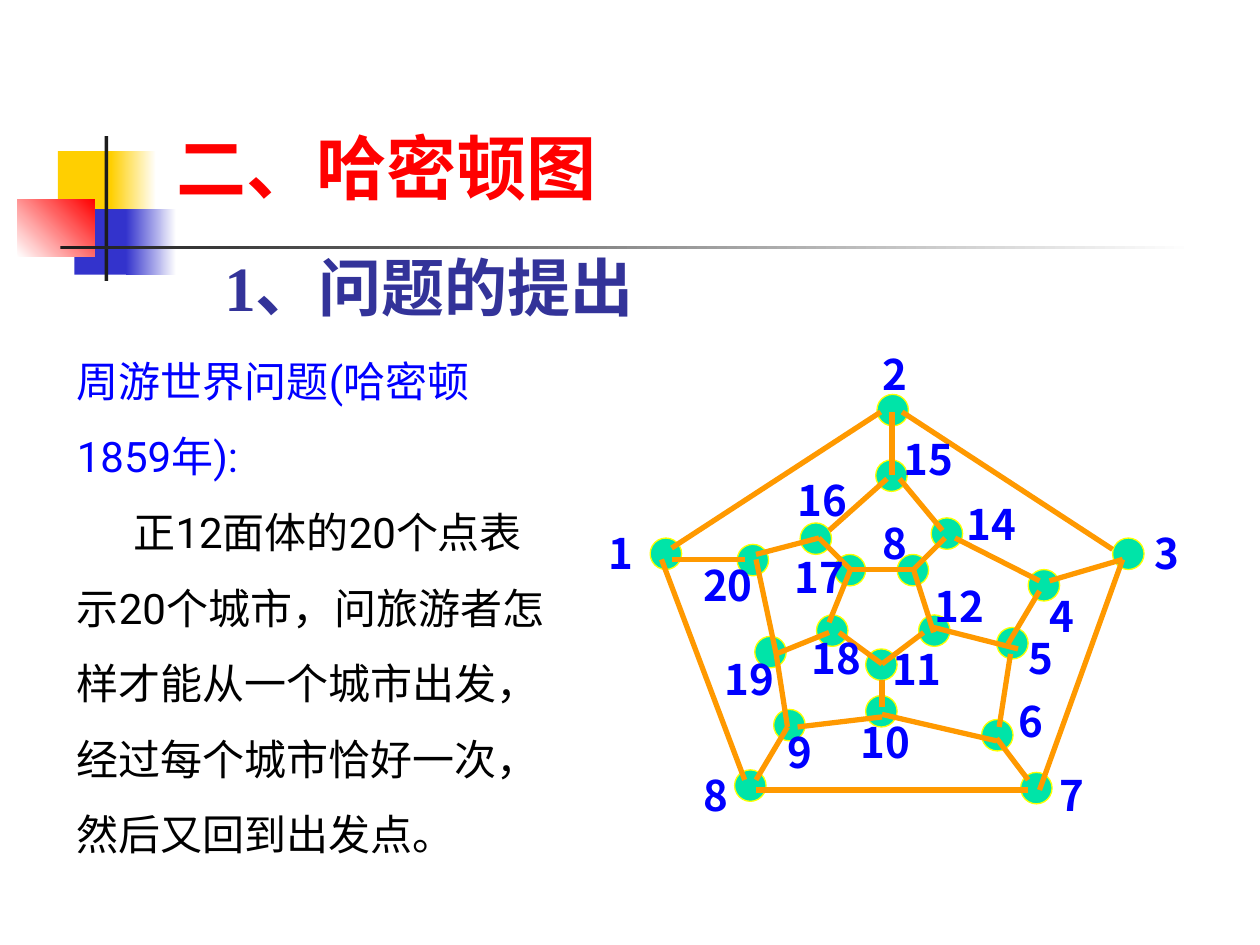
from pptx import Presentation
from pptx.dml.color import RGBColor
from pptx.enum.shapes import MSO_CONNECTOR as CONNECTOR, MSO_SHAPE as SHAPE
from pptx.enum.text import MSO_ANCHOR as ANCHOR, MSO_AUTO_SIZE as AUTOSIZE, PP_ALIGN as ALIGN
from pptx.oxml.ns import qn
from pptx.util import Inches, Pt

COLUMNS, ROWS = 100, 75
CELL = Inches(10) / COLUMNS

WHITE = RGBColor(0xFF, 0xFF, 0xFF)
BLACK = RGBColor(0x00, 0x00, 0x00)
CHARCOAL = RGBColor(0x1C, 0x1C, 0x1C)
YELLOW = RGBColor(0xFF, 0xCF, 0x01)
INDIGO = RGBColor(0x33, 0x33, 0xCC)
RED = RGBColor(0xFF, 0x00, 0x00)
NAVY = RGBColor(0x33, 0x33, 0x99)
BLUE = RGBColor(0x00, 0x00, 0xFF)
GREEN = RGBColor(0x00, 0xE4, 0xA8)
RIM = RGBColor(0xFF, 0xFF, 0x00)
ORANGE = RGBColor(0xFF, 0x99, 0x00)

TITLE_AREA = (13, 9.4, 65.8, 17.5)
TITLE = [
    ("二、哈密顿图", dict(size=40, color=RED)),
    ("1、问题的提出", dict(size=36, color=NAVY, before=22.5, margin=3.8)),
]
BODY_AREA = (5.1, 25.7, 40.1, 43)
BODY = [
    ("周游世界问题(哈密顿1859年):", dict(color=BLUE)),
    ("正12面体的20个点表示20个城市，问旅游者怎样才能从一个城市出发，"
     "经过每个城市恰好一次，然后又回到出发点。", dict(color=BLACK, indent=4.5)),
]

# area, colours from start to end, gradient angle
ORNAMENTS = [
    ((4.6, 12, 4.8, 5.2), (YELLOW,), 0),
    ((8.8, 12, 3.6, 5.2), (YELLOW, WHITE), 0),
    ((5.9, 16.6, 4.6, 5.2), (INDIGO,), 0),
    ((10, 16.6, 4, 5.2), (INDIGO, WHITE), 0),
    ((1.4, 15.8, 6.1, 4.6), (WHITE, RED), 45),
    ((8.3, 10.8, 0.3, 11.5), (CHARCOAL,), 0),
    ((4.8, 19.5, 90, 0.3), (CHARCOAL, WHITE), 0),
]

CITY_SIZE = 2.5
CITIES = [
    ("1", (51.6, 42.7), (48.3, 41.9)), ("2", (69.6, 31.3), (70, 27.7)),
    ("3", (88.3, 42.7), (91.6, 41.9)), ("4", (81.6, 45.2), (83.3, 46.9)),
    ("5", (79.1, 49.8), (81.6, 50.2)), ("6", (77.9, 57.1), (80.8, 55.2)),
    ("7", (81, 61.3), (84.1, 61.1)), ("8", (58.3, 61.1), (55.8, 61.1)),
    ("9", (61.4, 56.3), (62.5, 57.7)), ("10", (68.7, 55.2), (68.3, 56.9)),
    ("11", (68.7, 51.5), (70.8, 51.1)), ("12", (72.9, 48.8), (74.2, 46.1)),
    ("8", (71.2, 44), (70, 41.1)), ("14", (73.9, 41.1), (76.7, 39.6)),
    ("15", (69.5, 36.5), (71.7, 34.4)), ("16", (63.5, 41.5), (63.3, 37.7)),
    ("17", (66.2, 44), (63.1, 43.8)), ("18", (64.8, 48.8), (64.4, 50.2)),
    ("19", (59.9, 50.5), (57.5, 51.9)), ("20", (58.5, 43.2), (55.8, 44.4)),
]
ROADS = [
    (53.3, 43.5, 69.9, 32.7), (71.6, 32.7, 88.3, 43.6), (89.1, 44.4, 82.5, 62.7),
    (60, 62.7, 81.6, 62.7), (52.5, 44.4, 59.1, 61.9), (53.3, 44.4, 59.1, 44.4),
    (70.8, 32.7, 70.8, 37.7), (79.1, 58.6, 81.6, 61.9), (83.3, 46.1, 89.1, 44.4),
    (75.8, 42.7, 82.5, 46.1), (82.5, 46.9, 80, 51.1), (74.1, 49.8, 80.8, 51.5),
    (80.2, 51.9, 79.3, 57.7), (70, 56.7, 79.1, 58.8), (62.5, 57.7, 60, 61.9),
    (63.3, 57.7, 70, 56.9), (61.6, 51.9, 62.5, 57.7), (60, 44.4, 61.6, 51.9),
    (70.4, 38, 65.8, 42.1), (60, 44, 65, 42.7), (65, 42.7, 67.5, 45.2),
    (61.6, 51.9, 65.8, 50.2), (70, 54, 70, 56.1), (67.5, 45.2, 65.8, 49.4),
    (66.6, 50.2, 70, 52.7), (73.3, 50.2, 70, 52.7), (67.5, 45.2, 72.5, 45.2),
    (71.4, 38, 74.8, 42.1), (75, 42.7, 72.5, 45.2), (72.5, 45.2, 74.1, 50.2),
]


def cells(values):
    """Turn grid units into slide lengths."""
    return [round(value * CELL) for value in values]


def write(paragraph, text, size=24, color=BLUE, font="Noto Sans CJK SC", bold=True,
          before=0, spacing=1.0, margin=0, indent=0):
    """Fill a paragraph with formatted text."""
    properties = paragraph._p.get_or_add_pPr()
    left, first = cells((margin, indent))
    properties.set("marL", str(left))
    properties.set("indent", str(first))
    properties.append(properties.makeelement(qn("a:buNone"), {}))
    paragraph.alignment = ALIGN.LEFT
    paragraph.space_before = Pt(before)
    paragraph.line_spacing = spacing
    run = paragraph.add_run()
    run.text = text
    run.font.name, run.font.size, run.font.bold = font, Pt(size), bold
    run.font.color.rgb = color


def fill_placeholder(holder, area, content, **style):
    """Place a placeholder and write its paragraphs."""
    holder.left, holder.top, holder.width, holder.height = cells(area)
    frame = holder.text_frame
    frame.word_wrap, frame.auto_size = True, AUTOSIZE.NONE
    frame.vertical_anchor = ANCHOR.TOP
    for number, (text, own) in enumerate(content):
        paragraph = frame.add_paragraph() if number else frame.paragraphs[0]
        write(paragraph, text, **style, **own)


def add_figure(shapes, kind, area, colors, angle=0, rim=None):
    """Draw a filled shape with an optional rim."""
    figure = shapes.add_shape(kind, *cells(area))
    figure.shadow.inherit = False
    if len(colors) == 1:
        figure.fill.solid()
        figure.fill.fore_color.rgb = colors[0]
    else:
        figure.fill.gradient()
        figure.fill.gradient_angle = angle
        for position, (stop, color) in enumerate(zip(figure.fill.gradient_stops, colors)):
            stop.position, stop.color.rgb = position, color
    if rim:
        figure.line.color.rgb, figure.line.width = rim, Pt(0.75)
    else:
        figure.line.fill.background()


def add_road(shapes, ends):
    """Draw a road between two cities."""
    road = shapes.add_connector(CONNECTOR.STRAIGHT, *cells(ends))
    road.line.color.rgb, road.line.width = ORANGE, Pt(3)
    properties = road._element.spPr
    properties.append(properties.makeelement(qn("a:effectLst"), {}))


def add_label(shapes, number, place):
    """Write the number of a city."""
    frame = shapes.add_textbox(*cells((*place, 2.5 * len(number), 4))).text_frame
    frame.word_wrap = True
    frame.margin_left = frame.margin_top = frame.margin_right = frame.margin_bottom = 0
    write(frame.paragraphs[0], number)


def main():
    """Build the slide and save it."""
    deck = Presentation()
    deck.slide_width, deck.slide_height = cells((COLUMNS, ROWS))
    slide = deck.slides.add_slide(deck.slide_layouts[1])
    shapes = slide.shapes
    fill_placeholder(shapes.title, TITLE_AREA, TITLE, font="Times New Roman")
    fill_placeholder(slide.placeholders[1], BODY_AREA, BODY,
                     font="Roboto", bold=False, spacing=1.5)
    for area, colors, angle in ORNAMENTS:
        add_figure(shapes, SHAPE.RECTANGLE, area, colors, angle)
    for _, place, _ in CITIES:
        add_figure(shapes, SHAPE.OVAL, (*place, CITY_SIZE, CITY_SIZE), (GREEN,), rim=RIM)
    for ends in ROADS:
        add_road(shapes, ends)
    for number, _, place in CITIES:
        add_label(shapes, number, place)


    deck.save("out.pptx")


if __name__ == "__main__":
    main()
